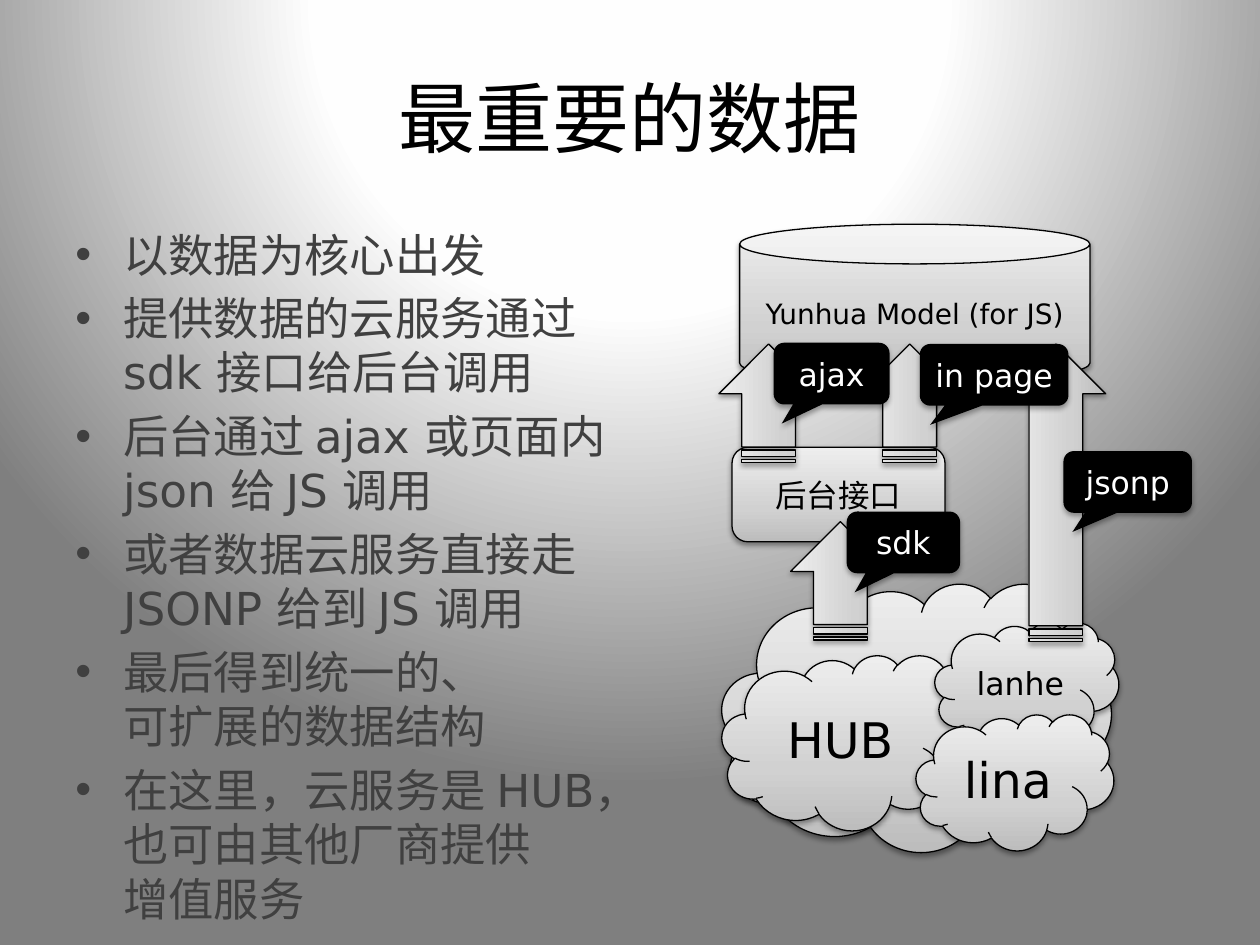
from lxml import etree
from pptx import Presentation
from pptx.dml.color import RGBColor
from pptx.enum.shapes import MSO_SHAPE
from pptx.enum.text import MSO_ANCHOR, PP_ALIGN
from pptx.oxml.ns import qn
from pptx.util import Inches, Pt

FONT = "DejaVu Sans"
COLORS = {
    "ink": "000000",
    "body": "404040",
    "white": "FFFFFF",
    "glow": "FEFEFE",
    "edge": "7F7F7F",
    "steel_dark": "BDBDBD",
    "steel_mid": "D1D1D1",
    "steel_light": "EEEEEE",
}
STEEL = [(0, "steel_dark"), (35, "steel_mid"), (100, "steel_light")]
BACKDROP = [(0, "white"), (40, "glow"), (100, "edge")]
POINTS = [
    "以数据为核心出发",
    "提供数据的云服务通过\nsdk 接口给后台调用",
    "后台通过 ajax 或页面内\njson 给 JS 调用",
    "或者数据云服务直接走\nJSONP 给到 JS 调用",
    "最后得到统一的、\n可扩展的数据结构",
    "在这里，云服务是 HUB，\n也可由其他厂商提供\n增值服务",
]


def rgb(name):
    return RGBColor.from_string(COLORS[name])


def sub(parent, tag, **attributes):
    element = etree.SubElement(parent, qn(tag))
    for key, value in attributes.items():
        element.set(key, str(value))
    return element


def set_gradient(fill, properties, stops, radial=False):
    """Fill with the given stops, upwards or in a circle from above."""
    fill.gradient()
    gradient = properties.find(qn("a:gradFill"))
    for child in list(gradient):
        gradient.remove(child)
    stop_list = sub(gradient, "a:gsLst")
    for percent, color in stops:
        stop = sub(stop_list, "a:gs", pos=percent * 1000)
        sub(stop, "a:srgbClr", val=COLORS[color])
    if radial:
        path = sub(gradient, "a:path", path="circle")
        sub(path, "a:fillToRect", l=50000, t=-80000, r=50000, b=180000)
    else:
        sub(gradient, "a:lin", ang=270 * 60000, scaled=0)


def add_shadow(shape, distance, opacity):
    shape.shadow.inherit = False
    effects = shape._element.spPr.find(qn("a:effectLst"))
    shadow = sub(effects, "a:outerShdw", blurRad=Pt(3.1), dist=Pt(distance),
                 dir=90 * 60000, rotWithShape=0)
    color = sub(shadow, "a:srgbClr", val=COLORS["ink"])
    sub(color, "a:alpha", val=opacity * 1000)


def write(paragraph, text, size=18, color="ink", align=PP_ALIGN.CENTER):
    paragraph.text = text
    paragraph.alignment = align
    for run in paragraph.runs:
        run.font.name = FONT
        run.font.size = Pt(size)
        run.font.color.rgb = rgb(color)


def add_frame(slide, box, anchor):
    frame = slide.shapes.add_textbox(*map(Inches, box)).text_frame
    frame.word_wrap = True
    frame.vertical_anchor = anchor
    return frame


def add_title(slide, box):
    frame = add_frame(slide, box, MSO_ANCHOR.MIDDLE)
    write(frame.paragraphs[0], "最重要的数据", size=44)


def add_points(slide, box):
    frame = add_frame(slide, box, MSO_ANCHOR.TOP)
    for index, point in enumerate(POINTS):
        paragraph = frame.add_paragraph() if index else frame.paragraphs[0]
        write(paragraph, point, size=25.9, color="body", align=PP_ALIGN.LEFT)
        paragraph.space_before = Pt(5.2)
        properties = paragraph._p.get_or_add_pPr()
        properties.set("marL", str(Inches(0.38)))
        properties.set("indent", str(-Inches(0.38)))
        sub(properties, "a:buFont", typeface="Arial")
        sub(properties, "a:buChar", char="•")


def add_node(slide, kind, box, text="", size=18):
    node = slide.shapes.add_shape(kind, *map(Inches, box))
    set_gradient(node.fill, node._element.spPr, STEEL)
    node.line.color.rgb = rgb("ink")
    node.line.width = Pt(0.75)
    add_shadow(node, distance=1.6, opacity=38)
    if text:
        node.text_frame.vertical_anchor = MSO_ANCHOR.MIDDLE
        write(node.text_frame.paragraphs[0], text, size=size)
    return node


def add_up_arrow(slide, center_x, top, length, width=0.79):
    """Place a striped right arrow turned to point upwards."""
    box = (center_x - length / 2, top + (length - width) / 2, length, width)
    arrow = add_node(slide, MSO_SHAPE.STRIPED_RIGHT_ARROW, box)
    arrow.adjustments[0] = 0.54
    arrow.adjustments[1] = 0.5
    arrow.rotation = 270


def add_callout(slide, text, left, top, width):
    callout = slide.shapes.add_shape(
        MSO_SHAPE.ROUNDED_RECTANGULAR_CALLOUT,
        *map(Inches, (left, top, width, 0.49)))
    for index, value in enumerate((-0.43, 0.81, 0.17)):
        callout.adjustments[index] = value
    callout.fill.solid()
    callout.fill.fore_color.rgb = rgb("ink")
    callout.line.fill.background()
    add_shadow(callout, distance=1.8, opacity=35)
    callout.text_frame.vertical_anchor = MSO_ANCHOR.MIDDLE
    write(callout.text_frame.paragraphs[0], text, color="white")


def add_data_flow(slide, left, top):
    """Draw sources, backend and model, from the diagram's top left corner."""
    def place(x, y, *size):
        return (left + x, top + y, *size)

    add_node(slide, MSO_SHAPE.ROUNDED_RECTANGLE,
             place(0.08, 1.77, 1.69, 0.75), "后台接口")
    for text, size, box in [
        ("", 28, (0, 2.85, 3.09, 2.13)),
        ("HUB", 28, (0, 3.42, 2.02, 1.39)),
        ("lanhe", 18, (1.69, 3.16, 1.46, 1.01)),
        ("lina", 28, (1.54, 3.89, 1.57, 1.08)),
    ]:
        add_node(slide, MSO_SHAPE.CLOUD, place(*box), text, size)

    add_up_arrow(slide, *place(0.94, 2.36), length=0.94)
    add_node(slide, MSO_SHAPE.CAN, place(0.14, 0, 2.78, 1.26),
             "Yunhua Model (for JS)", 16)
    for x, length in [(2.65, 2.36), (0.37, 0.94), (1.49, 0.94)]:
        add_up_arrow(slide, *place(x, 0.95), length=length)

    for text, x, y, width in [
        ("jsonp", 2.71, 1.8, 1.02),
        ("sdk", 0.99, 2.28, 0.9),
        ("in page", 1.57, 0.95, 1.18),
        ("ajax", 0.41, 0.94, 0.92),
    ]:
        add_callout(slide, text, *place(x, y), width)


def main():
    deck = Presentation()
    deck.slide_width, deck.slide_height = Inches(10), Inches(7.5)
    slide = deck.slides.add_slide(deck.slide_layouts[6])
    backdrop = slide.background.fill
    set_gradient(backdrop, slide._element.cSld.bg.bgPr, BACKDROP, radial=True)
    add_title(slide, (0.5, 0.3, 9, 1.25))
    add_points(slide, (0.5, 1.75, 9, 4.95))
    add_data_flow(slide, 5.73, 1.78)
    deck.save("out.pptx")


if __name__ == "__main__":
    main()
